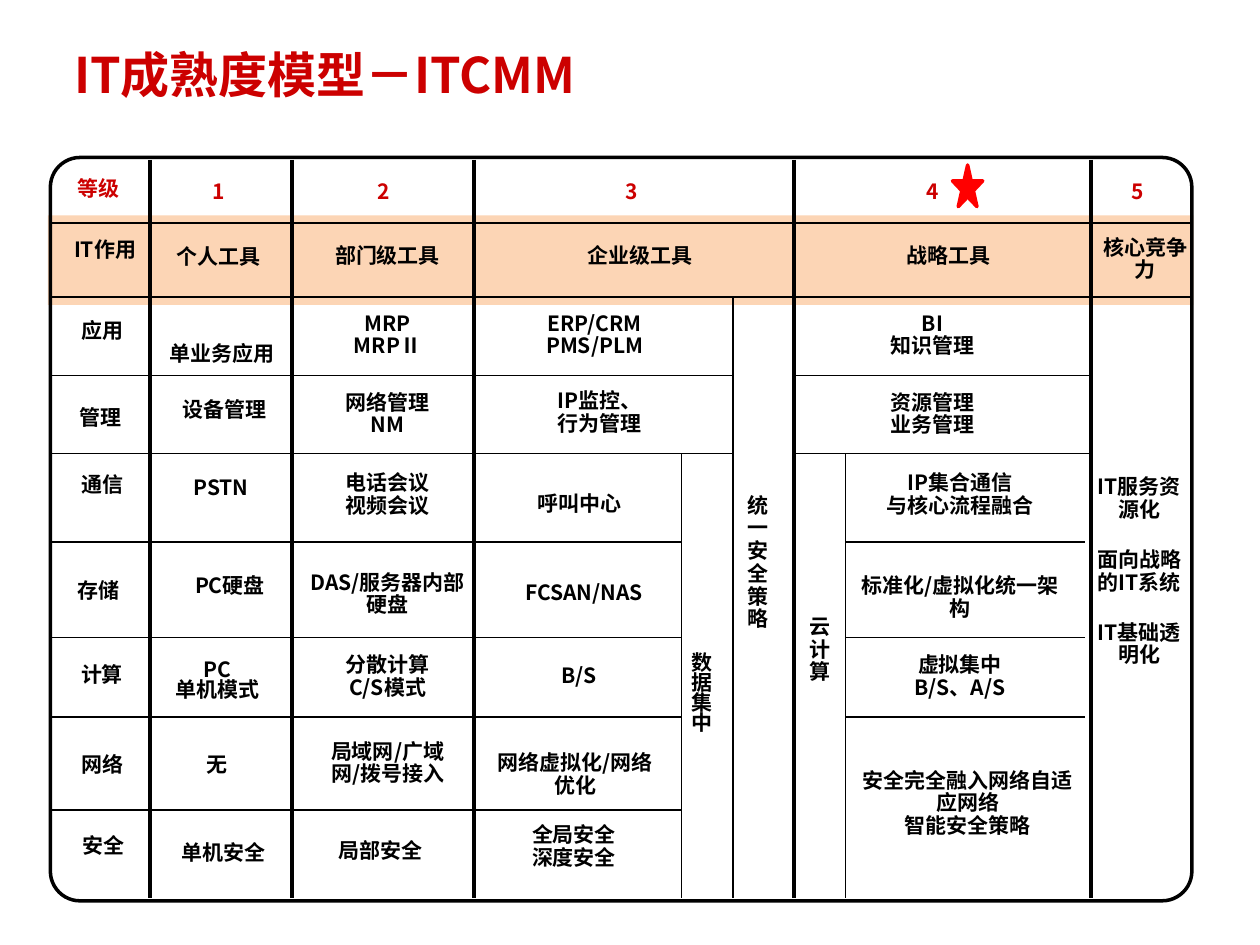
"""Builds the IT maturity model (ITCMM) slide."""
from dataclasses import dataclass

from pptx import Presentation
from pptx import util as u
from pptx.dml.color import RGBColor
from pptx.enum import shapes, text
from pptx.oxml.ns import qn
from lxml import etree


@dataclass(frozen=True)
class Theme:
    font: str = "Noto Sans CJK SC"
    ink: str = "000000"
    accent: str = "CC0000"
    band: str = "FCD5B5"
    star: str = "FF0000"
    title_size: float = 28
    body_size: float = 12
    thin: float = 1
    outline: float = 2
    thick: float = 2.25
    tight: float = 0.8
    normal: float = 0.9


class SlideBuilder:
    def __init__(self, slide, theme):
        self.slide = slide
        self.theme = theme

    def label(self, words, left, top, width, height, color=None, size=None,
              spacing=None, align=text.PP_ALIGN.CENTER, gap=0):
        box = self.slide.shapes.add_textbox(*map(u.Pt, (left, top, width, height)))
        frame = box.text_frame
        frame.word_wrap = True
        frame.vertical_anchor = text.MSO_ANCHOR.MIDDLE
        frame.text = words
        for index, para in enumerate(frame.paragraphs):
            para.alignment = align
            if spacing:
                para.line_spacing = spacing
            if gap and index:
                para.space_before = u.Pt(gap)
            for span in para.runs:
                span.font.name = self.theme.font
                span.font.size = u.Pt(size or self.theme.body_size)
                span.font.bold = True
                span.font.color.rgb = RGBColor.from_string(color or self.theme.ink)
                east_asian = etree.SubElement(span.font._element, qn("a:ea"))
                east_asian.set("typeface", self.theme.font)

    def shape(self, kind, left, top, width, height, fill=None, line=None):
        item = self.slide.shapes.add_shape(kind, *map(u.Pt, (left, top, width, height)))
        item.shadow.inherit = False
        if fill:
            item.fill.solid()
            item.fill.fore_color.rgb = RGBColor.from_string(fill)
        else:
            item.fill.background()
        if line:
            item.line.color.rgb = RGBColor.from_string(line)
            item.line.width = u.Pt(self.theme.outline)
        else:
            item.line.fill.background()
        return item

    def rule(self, x1, y1, x2, y2, weight):
        line = self.slide.shapes.add_connector(
            shapes.MSO_CONNECTOR.STRAIGHT, *map(u.Pt, (x1, y1, x2, y2)))
        line.line.color.rgb = RGBColor.from_string(self.theme.ink)
        line.line.width = u.Pt(weight)
        etree.SubElement(line._element.spPr, qn("a:effectLst"))


LEVELS = [
    ("等级", 23.8, 95.8, 65.5, 26.6), ("1", 82.8, 97.2, 84.2, 26.6),
    ("2", 165.6, 97.2, 107.3, 26.6), ("3", 272.9, 97.2, 175.7, 26.6),
    ("4", 448.6, 97.2, 168.5, 26.6), ("5", 617, 97.2, 66.2, 26.6),
]
TIGHT_LABELS = [
    ("IT作用", 28.8, 133.9, 62.6, 19.4), ("应用", 33.1, 180.7, 51.1, 18),
    ("管理", 28.8, 226.8, 56.9, 25.2), ("通信", 33.1, 268.6, 51.1, 18.7),
    ("存储", 29.5, 324, 54, 29.5), ("计算", 36, 375.1, 44.6, 22.3),
    ("网络", 33.1, 424.8, 51.1, 25.9), ("安全", 35.3, 474.5, 47.5, 19.4),
    ("个人工具", 82.8, 133.9, 84.2, 28.1), ("单业务应用", 79.9, 181.4, 93.6, 43.9),
    ("设备管理", 89.3, 224.6, 78.5, 20.9), ("PSTN", 91.4, 269.3, 69.8, 20.9),
    ("PC硬盘", 89.3, 324, 84.2, 23), ("PC\n单机模式", 82.1, 366.5, 84.2, 45.4),
    ("无", 82.1, 424.8, 84.2, 25.9), ("单机安全", 85.7, 472.3, 84.2, 32.4),
    ("数\n据\n集\n中", 385.2, 317.5, 31.7, 158.4),
]
LABELS = [
    ("部门级工具", 167.8, 133.9, 107.3, 25.9), ("MRP\nMRPⅡ", 167.8, 169.9, 107.3, 43.9),
    ("网络管理\nNM", 167.8, 214.6, 107.3, 44.6),
    ("电话会议\n视频会议", 167.8, 262.8, 107.3, 40.3),
    ("DAS/服务器内部硬盘", 167.8, 307.4, 107.3, 64.8),
    ("分散计算\nC/S模式", 167.8, 364.3, 107.3, 45.4),
    ("局域网/广域网/拨号接入", 167.8, 409.7, 107.3, 53.3),
    ("局部安全", 173.5, 470.2, 87.8, 32.4),
    ("企业级工具", 307.4, 133.9, 116.6, 25.9),
    ("ERP/CRM\nPMS/PLM", 284.4, 169.9, 110.9, 43.9),
    ("IP监控、\n行为管理", 290.2, 213.8, 105.1, 44.6),
    ("呼叫中心", 290.2, 273.6, 82.1, 29.5), ("FCSAN/NAS", 277.9, 324.7, 111.6, 29.5),
    ("B/S", 307.4, 373.7, 46.8, 25.9), ("网络虚拟化/网络优化", 272.9, 416.2, 111.6, 53.3),
    ("全局安全\n深度安全", 272.2, 468, 111.6, 32.4),
    ("统一安全策略", 419, 263.5, 28.8, 116.6), ("云计算", 454.3, 337, 28.8, 69.1),
    ("战略工具", 478.1, 133.9, 128.2, 25.9),
    ("BI\n知识管理", 448.6, 169.9, 168.5, 43.9),
    ("资源管理\n业务管理", 448.6, 214.6, 168.5, 44.6),
    ("IP集合通信\n与核心流程融合", 480.2, 262.8, 136.8, 40.3),
    ("标准化/虚拟化统一架构", 480.2, 309.6, 136.8, 64.8),
    ("虚拟集中\nB/S、A/S", 480.2, 364.3, 136.8, 45.4),
    ("安全完全融入网络自适应网络\n智能安全策略", 484.6, 416.9, 136.8, 85),
    ("核心竞争力", 621.4, 118.8, 66.2, 59),
]
LEFT, TOP, BOTTOM = 28.8, 91.4, 513.4
UPPER_ROWS = (214.6, 259.2)
LOWER_ROWS = (309.6, 364.3, 409.7)
LAST_ROW = 463
LEVEL_EDGES = (85.7, 167, 270.7, 453.6, 623.5)
SUB_COLUMNS = {389.5: 259.2, 419: 169.9, 483.1: 259.2}


def main():
    deck = Presentation()
    deck.slide_width, deck.slide_height = u.Pt(720), u.Pt(540)
    theme = Theme()
    page = SlideBuilder(deck.slides.add_slide(deck.slide_layouts[6]), theme)

    page.label("IT成熟度模型－ITCMM", 35.3, 19.4, 408.2, 45.4, theme.accent,
               theme.title_size, align=text.PP_ALIGN.LEFT)
    page.shape(shapes.MSO_SHAPE.RECTANGLE, 27.4, 123.1, 654.5, 51.1, fill=theme.band)
    for level in LEVELS:
        page.label(*level, color=theme.accent, spacing=theme.tight)
    for label in TIGHT_LABELS:
        page.label(*label, spacing=theme.tight)
    for label in LABELS:
        page.label(*label, spacing=theme.normal)
    page.label("IT服务资源化\n面向战略的IT系统\nIT基础透明化", 617.8, 233.9, 66.2, 185.8,
               spacing=theme.normal, gap=15.7)

    for y in (127.4, 169.9):
        page.rule(LEFT, y, 682, y, theme.thin)
    for y in UPPER_ROWS:
        page.rule(LEFT, y, 419, y, theme.thin)
        page.rule(453.6, y, 623, y, theme.thin)
    for y in LOWER_ROWS:
        page.rule(LEFT, y, 389.5, y, theme.thin)
        page.rule(483.1, y, 620, y, theme.thin)
    page.rule(LEFT, LAST_ROW, 389.5, LAST_ROW, theme.thin)
    for x in LEVEL_EDGES:
        page.rule(x, TOP, x, BOTTOM, theme.thick)
    for x, top in SUB_COLUMNS.items():
        page.rule(x, top, x, BOTTOM, theme.thin)

    frame = page.shape(shapes.MSO_SHAPE.ROUNDED_RECTANGLE, LEFT, 90, 652.3, 424.8,
                       line=theme.ink)
    frame.adjustments[0] = 0.04
    page.shape(shapes.MSO_SHAPE.STAR_5_POINT, 544.3, 94.3, 17.3, 23.8,
               fill=theme.star, line=theme.star)
    deck.save("out.pptx")


if __name__ == "__main__":
    main()
